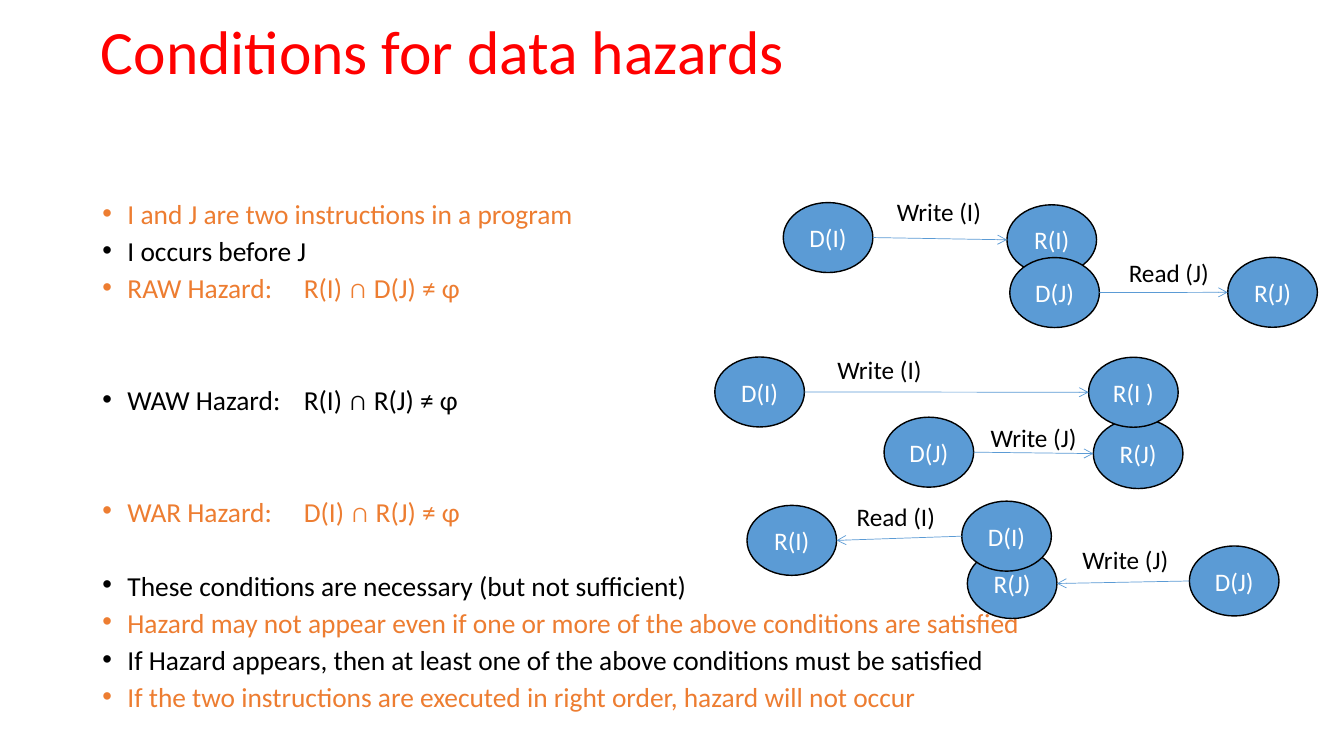
from dataclasses import dataclass

from lxml.etree import SubElement
from pptx import Presentation
from pptx.dml.color import RGBColor
from pptx.enum.shapes import MSO_CONNECTOR, MSO_SHAPE
from pptx.enum.text import MSO_ANCHOR, MSO_AUTO_SIZE, PP_ALIGN
from pptx.oxml.ns import qn
from pptx.util import Pt


@dataclass(frozen=True)
class Theme:
    face: str = "Calibri"
    red: str = "FF0000"
    orange: str = "ED7D31"
    black: str = "000000"
    white: str = "FFFFFF"
    blue: str = "5B9BD5"
    head: float = 44
    body: float = 19.6
    small: float = 18


@dataclass(frozen=True)
class Oval:
    text: str
    left: float
    top: float


@dataclass(frozen=True)
class Label:
    text: str
    left: float
    top: float
    width: float = 76


@dataclass(frozen=True)
class Flow:
    start: Oval
    end: Oval
    label: Label


@dataclass(frozen=True)
class Point:
    text: str
    skip: int = 0  # free lines above


THEME = Theme()
WIDE, HIGH = 64, 50  # oval size
PITCH = 26.6  # from one bullet line to the next

POINTS = [
    Point("I and J are two instructions in a program"),
    Point("I occurs before J"),
    Point("RAW Hazard:\tR(I) ∩ D(J) ≠ φ"),
    Point("WAW Hazard:\tR(I) ∩ R(J) ≠ φ", 2),
    Point("WAR Hazard:\tD(I) ∩ R(J) ≠ φ", 2),
    Point("These conditions are necessary (but not sufficient)", 1),
    Point("Hazard may not appear even if one or more of the above conditions are satisfied"),
    Point("If Hazard appears, then at least one of the above conditions must be satisfied"),
    Point("If the two instructions are executed in right order, hazard will not occur"),
]

# Later flows lie in front of earlier ones.
FLOWS = [
    Flow(Oval("D(J)", 849.6, 390), Oval("R(J)", 691, 391.8), Label("Write (J)", 766, 385.2)),
    Flow(Oval("D(I)", 687, 358), Oval("R(I)", 533.6, 361), Label("Read (I)", 604.8, 354.2)),
    Flow(Oval("D(J)", 631.5, 298), Oval("R(J)", 781, 299), Label("Write (J)", 700.5, 298)),
    Flow(Oval("D(I)", 510.6, 255), Oval("R(I )", 777.6, 255.2), Label("Write (I)", 591, 249.8)),
    Flow(Oval("D(I)", 559.5, 144.7), Oval("R(I)", 719.3, 146.3), Label("Write (I)", 633.5, 136.8)),
    Flow(Oval("D(J)", 721.3, 184), Oval("R(J)", 877, 183.8), Label("Read (J)", 799.2, 180)),
]


def paint(font, size: float, tint: str) -> None:
    font.name = THEME.face
    font.size = Pt(size)
    font.color.rgb = RGBColor.from_string(tint)


def add_title(slide) -> None:
    title = slide.shapes.title
    title.left, title.top = Pt(64.8), Pt(0)
    title.width, title.height = Pt(828), Pt(124.6)
    frame = title.text_frame
    frame.text = "Conditions for data hazards"
    frame.auto_size = MSO_AUTO_SIZE.NONE
    frame.vertical_anchor = MSO_ANCHOR.MIDDLE
    frame.margin_bottom = Pt(51)
    para = frame.paragraphs[0]
    para.alignment = PP_ALIGN.LEFT
    para.line_spacing = 0.9
    paint(para.font, THEME.head, THEME.red)


def add_mark(para, tint: str) -> None:
    """Give the paragraph a hanging bullet in the given colour."""
    props = para._p.get_or_add_pPr()
    props.set("marL", str(Pt(18)))
    props.set("indent", str(Pt(-18)))
    props.set("defTabSz", str(Pt(72)))
    SubElement(SubElement(props, qn("a:buClr")), qn("a:srgbClr"), val=tint)
    SubElement(props, qn("a:buFont"), typeface="Arial")
    SubElement(props, qn("a:buChar"), char="•")


def add_points(slide, points: list[Point]) -> None:
    box = slide.shapes.add_textbox(Pt(66), Pt(144), Pt(828), Pt(376))
    frame = box.text_frame
    frame.word_wrap = True
    for rank, point in enumerate(points):
        para = frame.add_paragraph() if rank else frame.paragraphs[0]
        para.text = point.text
        tint = THEME.black if rank % 2 else THEME.orange
        add_mark(para, tint)
        para.line_spacing = 0.7
        para.space_before = Pt(10 + point.skip * PITCH)
        paint(para.font, THEME.body, tint)


def add_oval(slide, oval: Oval) -> None:
    shape = slide.shapes.add_shape(
        MSO_SHAPE.OVAL, Pt(oval.left), Pt(oval.top), Pt(WIDE), Pt(HIGH))
    shape.shadow.inherit = False
    shape.fill.solid()
    shape.fill.fore_color.rgb = RGBColor.from_string(THEME.blue)
    shape.line.color.rgb = RGBColor.from_string(THEME.black)
    shape.line.width = Pt(1)
    frame = shape.text_frame
    frame.text = oval.text
    frame.margin_left = frame.margin_right = Pt(0)
    frame.vertical_anchor = MSO_ANCHOR.MIDDLE
    para = frame.paragraphs[0]
    para.alignment = PP_ALIGN.CENTER
    paint(para.font, THEME.small, THEME.white)


def add_arrow(slide, start: Oval, end: Oval) -> None:
    """Draw an arrow between the facing sides of two ovals."""
    ahead = start.left < end.left
    tail = start.left + WIDE * ahead
    tip = end.left + WIDE * (not ahead)
    line = slide.shapes.add_connector(
        MSO_CONNECTOR.STRAIGHT,
        Pt(tail), Pt(start.top + HIGH / 2), Pt(tip), Pt(end.top + HIGH / 2))
    line.line.color.rgb = RGBColor.from_string(THEME.blue)
    line.line.width = Pt(0.5)
    SubElement(line.line._get_or_add_ln(), qn("a:tailEnd"), type="arrow")
    SubElement(line._element.spPr, qn("a:effectLst"))


def add_label(slide, label: Label) -> None:
    box = slide.shapes.add_textbox(
        Pt(label.left), Pt(label.top), Pt(label.width), Pt(29))
    frame = box.text_frame
    frame.word_wrap = False
    frame.text = label.text
    paint(frame.paragraphs[0].font, THEME.small, THEME.black)


def main() -> None:
    deck = Presentation()
    deck.slide_width, deck.slide_height = Pt(960), Pt(540)
    slide = deck.slides.add_slide(deck.slide_layouts[5])
    add_title(slide)
    add_points(slide, POINTS)
    for flow in FLOWS:
        add_oval(slide, flow.start)
        add_oval(slide, flow.end)
        add_arrow(slide, flow.start, flow.end)
    for flow in FLOWS:
        add_label(slide, flow.label)
    deck.save("out.pptx")


if __name__ == "__main__":
    main()
